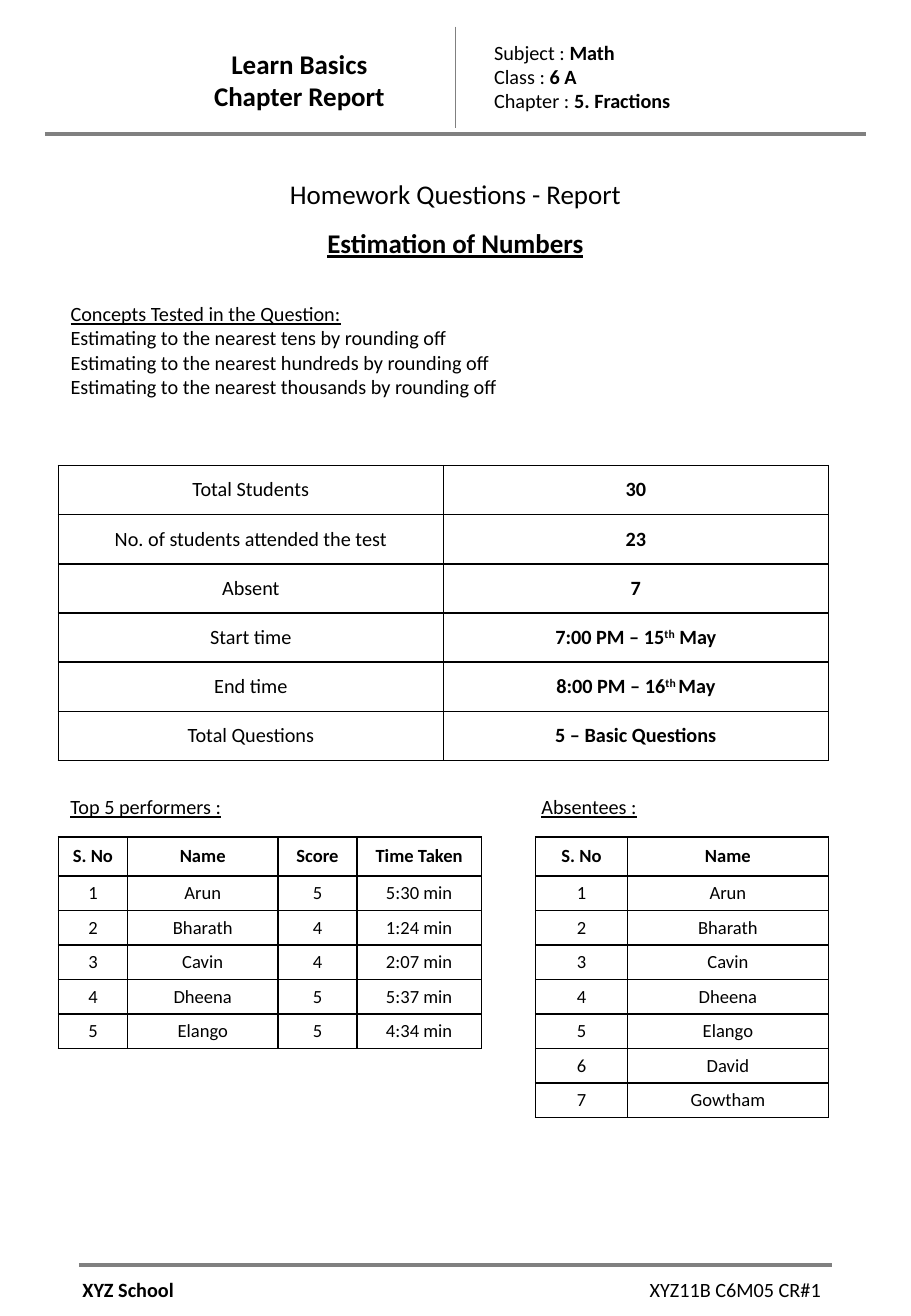
from pptx import Presentation
from pptx.dml.color import RGBColor
from pptx.enum.shapes import MSO_CONNECTOR as Connector
from pptx.enum.text import MSO_ANCHOR as Anchor, MSO_AUTO_SIZE as AutoSize, PP_ALIGN as Align
from pptx.oxml.ns import qn
from pptx.util import Pt
from lxml.etree import SubElement


def color(hex_text):
    return RGBColor.from_string(hex_text)


class ReportPage:
    font_name = "Calibri"
    ink = "000000"
    rule_gray = "808080"

    def __init__(self, page):
        self.page = page

    def set_lines(self, frame, lines, size=12, align=Align.LEFT, spacing=1.0):
        """Fill a frame; a line is a list of (text, marks): b bold, u underline, ^ superscript."""
        for index, spans in enumerate(lines):
            para = frame.paragraphs[0] if index == 0 else frame.add_paragraph()
            para.alignment = align
            para.line_spacing = spacing
            para.space_before = Pt(0)
            para.font.name = self.font_name
            para.font.size = Pt(size)
            para.font.color.rgb = color(self.ink)
            para.font.bold = all("b" in marks for _, marks in spans)
            para.font.underline = all("u" in marks for _, marks in spans)
            for text, marks in spans:
                span = para.add_run()
                span.text = text
                if "b" in marks and not para.font.bold:
                    span.font.bold = True
                if "^" in marks:
                    span.font._element.set("baseline", "30000")

    def place(self, box, left, top, width, height, lines, wrap=True, **style):
        box.left, box.top, box.width, box.height = map(Pt, (left, top, width, height))
        frame = box.text_frame
        frame.word_wrap = wrap
        frame.auto_size = AutoSize.SHAPE_TO_FIT_TEXT
        frame.vertical_anchor = Anchor.TOP
        self.set_lines(frame, lines, **style)

    def text(self, left, top, width, height, lines, **style):
        box = self.page.shapes.add_textbox(0, 0, 0, 0)
        self.place(box, left, top, width, height, lines, **style)

    def title(self, *area, **style):
        self.place(self.page.shapes.title, *area, **style)

    def body(self, *area, **style):
        box = self.page.placeholders[1]
        self.place(box, *area, **style)
        for para in box.text_frame.paragraphs:
            props = para._p.get_or_add_pPr()
            props.set("marL", "0")
            props.set("indent", "0")
            bullet = SubElement(props, qn("a:buNone"))
            props.find(qn("a:defRPr")).addprevious(bullet)

    def rule(self, x1, y1, x2, y2, weight=2.25):
        line = self.page.shapes.add_connector(Connector.STRAIGHT, *map(Pt, (x1, y1, x2, y2)))
        line.line.color.rgb = color(self.rule_gray)
        line.line.width = Pt(weight)
        SubElement(line._element.spPr, qn("a:effectLst"))

    def border(self, cell):
        props = cell._tc.get_or_add_tcPr()
        for index, side in enumerate(("lnL", "lnR", "lnT", "lnB")):
            edge = props.makeelement(qn("a:" + side), {"w": str(Pt(1))})
            fill = SubElement(edge, qn("a:solidFill"))
            SubElement(fill, qn("a:srgbClr"), val=self.ink)
            props.insert(index, edge)

    def table(self, left, top, widths, heights, rows, size):
        """Draw a bordered grid; each cell is a list of (text, marks)."""
        area = map(Pt, (left, top, sum(widths), sum(heights)))
        grid = self.page.shapes.add_table(len(rows), len(widths), *area).table
        grid.first_row = grid.horz_banding = False
        for column, width in zip(grid.columns, widths):
            column.width = Pt(width)
        for row, height, contents in zip(grid.rows, heights, rows):
            row.height = Pt(height)
            for cell, spans in zip(row.cells, contents):
                cell.fill.background()
                cell.vertical_anchor = Anchor.MIDDLE
                self.border(cell)
                self.set_lines(cell.text_frame, [spans], size, Align.CENTER)

    def roster(self, left, widths, headings, records):
        """Draw a numbered list of pupils under bold headings."""
        rows = [[[(name, "b")] for name in headings]]
        for number, record in enumerate(records, 1):
            rows.append([[(value, "")] for value in (str(number), *record)])
        self.table(left, 496, widths, [23] + [20.4] * len(records), rows, 11)


def main():
    deck = Presentation()
    deck.slide_width, deck.slide_height = Pt(540), Pt(779.76)
    report = ReportPage(deck.slides.add_slide(deck.slide_layouts[1]))

    # Header and footer
    report.text(103, 24.5, 149, 46, [[("Learn Basics", "b")], [("Chapter Report", "b")]],
                size=16, align=Align.CENTER)
    facts = [("Subject", "Math"), ("Class", "6 A"), ("Chapter", "5. Fractions")]
    report.text(285.8, 20.2, 143.3, 51,
                [[(f"{label} : ", ""), (value, "b")] for label, value in facts])
    report.rule(270, 15.8, 270, 75.6, weight=1)
    report.rule(26.6, 79.2, 513.4, 79.2)
    report.rule(46.8, 749.5, 493.2, 749.5)
    report.text(41.8, 753.1, 69.8, 21.8, [[("XYZ School", "b")]], wrap=False)
    report.text(378, 753.1, 117.4, 21.8, [[("XYZ11B C6M05 CR#1", "")]], wrap=False)

    # Title and concepts
    report.title(111.6, 92.2, 316.8, 62.6,
                 [[("Homework Questions - Report", "")], [("Estimation of Numbers", "bu")]],
                 size=16, align=Align.CENTER, spacing=1.5)
    concepts = [[(f"Estimating to the nearest {unit} by rounding off", "")]
                for unit in ("tens", "hundreds", "thousands")]
    report.body(34.6, 175, 447.1, 79.9, [[("Concepts Tested in the Question:", "u")]] + concepts)

    # Test summary
    summary = [
        ("Total Students", [("30", "b")]),
        ("No. of students attended the test", [("23", "b")]),
        ("Absent", [("7", "b")]),
        ("Start time", [("7:00 PM – 15", "b"), ("th", "b^"), (" May", "b")]),
        ("End time", [("8:00 PM – 16", "b"), ("th ", "b^"), ("May", "b")]),
        ("Total Questions", [("5 – Basic Questions", "b")]),
    ]
    report.table(34.6, 275.8, [228.2] * 2, [29.16] * len(summary),
                 [[[(label, "")], value] for label, value in summary], 12)

    # Pupil lists
    pupils = ["Arun", "Bharath", "Cavin", "Dheena", "Elango"]
    scores = ["5", "4", "4", "5", "5"]
    times = ["5:30 min", "1:24 min", "2:07 min", "5:37 min", "4:34 min"]
    report.text(34.6, 467.3, 250.6, 21.8, [[("Top 5 performers :", "u")]])
    report.roster(34.6, [41, 89.2, 46.8, 73.8], ["S. No", "Name", "Score", "Time Taken"],
                  list(zip(pupils, scores, times)))
    report.text(313.9, 467.3, 139, 21.8, [[("Absentees :", "u")]])
    report.roster(317.5, [54.5, 119], ["S. No", "Name"],
                  [(name,) for name in pupils + ["David", "Gowtham"]])

    deck.save("out.pptx")


if __name__ == "__main__":
    main()
